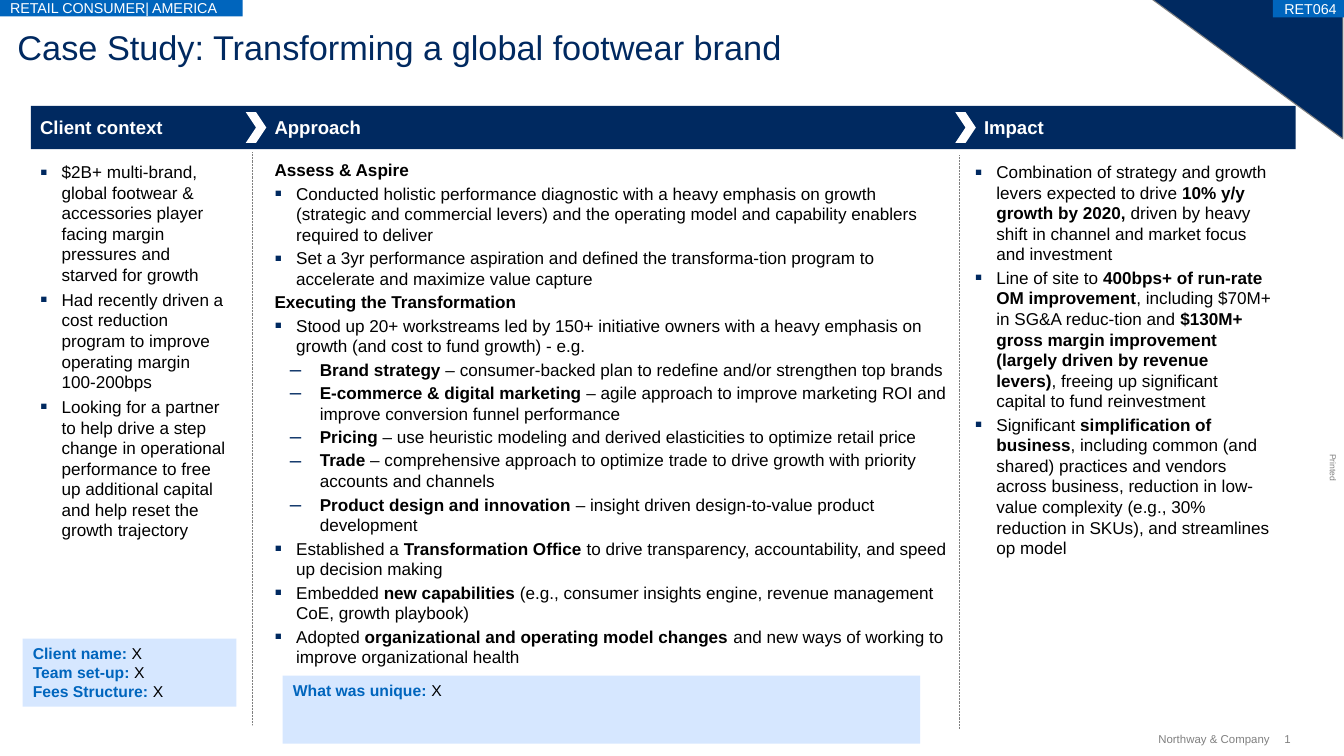
from dataclasses import dataclass
from typing import NamedTuple, Optional

from lxml.etree import SubElement
from pptx import Presentation
from pptx.dml.color import RGBColor
from pptx.enum.dml import MSO_LINE_DASH_STYLE as Dash
from pptx.enum.shapes import MSO_CONNECTOR as Connector, MSO_SHAPE as Preset
from pptx.enum.text import MSO_ANCHOR as Anchor, MSO_AUTO_SIZE as AutoSize, PP_ALIGN as Align
from pptx.oxml.ns import qn
from pptx.shapes.autoshape import Shape
from pptx.slide import Slide
from pptx.text.text import TextFrame, _Paragraph as Paragraph
from pptx.util import Inches, Pt


@dataclass(frozen=True)
class Theme:
    font: str = "Arial"
    navy: str = "002960"
    blue: str = "0065BD"
    pale: str = "D6E7FF"
    grey: str = "808080"
    black: str = "000000"
    white: str = "FFFFFF"
    title: float = 24
    heading: float = 13
    body: float = 12
    note: float = 11
    tag: float = 10
    footer: float = 8
    printed: float = 6


THEME = Theme()


class Box(NamedTuple):
    left: float
    top: float
    width: float
    height: float


class Bullet(NamedTuple):
    char: str
    size: int
    margin: float
    hang: float


SQUARE = Bullet("▪", 125, 0.21, 0.21)
DASH = Bullet("–", 120, 0.44, 0.29)


class Line(NamedTuple):
    """One paragraph; **double stars** enclose its bold parts."""
    text: str
    bullet: Optional[Bullet] = SQUARE


@dataclass(frozen=True)
class Column:
    heading: str
    heading_box: Box
    body_box: Box
    lines: list[Line]
    space_before: float = 2


class Separator(NamedTuple):
    chevron_left: float
    divider_left: float
    divider_top: float
    divider_bottom: float


COLUMNS = [
    Column("Client context", Box(0.39, 1.12, 1.9, 0.24), Box(0.39, 1.57, 1.87, 3.74), [
        Line("$2B+ multi-brand, global footwear & accessories player facing margin pressures and \nstarved for growth"),
        Line("Had recently driven a cost reduction program to improve operating margin \n100-200bps"),
        Line("Looking for a partner to help drive a step change in operational performance to free up "
             "additional capital and help reset the growth trajectory"),
    ], space_before=3),
    Column("Approach", Box(2.67, 1.12, 3.49, 0.24), Box(2.67, 1.55, 6.54, 5.35), [
        Line("**Assess & Aspire**", None),
        Line("Conducted holistic performance diagnostic with a heavy emphasis on growth (strategic and "
             "commercial levers) and the operating model and capability enablers required to deliver"),
        Line("Set a 3yr performance aspiration and defined the transforma-tion program to accelerate and "
             "maximize value capture"),
        Line("**Executing the Transformation**", None),
        Line("Stood up 20+ workstreams led by 150+ initiative owners with a heavy emphasis on growth "
             "(and cost to fund growth) - e.g."),
        Line("**Brand strategy **– consumer-backed plan to redefine and/or strengthen top brands", DASH),
        Line("**E-commerce & digital marketing **– agile approach to improve marketing ROI and improve "
             "conversion funnel performance", DASH),
        Line("**Pricing** – use heuristic modeling and derived elasticities to optimize retail price", DASH),
        Line("**Trade** – comprehensive approach to optimize trade to drive growth with priority accounts "
             "and channels", DASH),
        Line("**Product design and innovation** – insight driven design-to-value product development", DASH),
        Line("Established a **Transformation Office **to drive transparency, accountability, and speed up "
             "decision making"),
        Line("Embedded **new capabilities **(e.g., consumer insights engine, revenue management CoE, "
             "growth playbook)"),
        Line("Adopted **organizational and operating model changes **and new ways of working to improve "
             "organizational health"),
    ]),
    Column("Impact", Box(9.57, 1.12, 2.8, 0.24), Box(9.48, 1.57, 2.89, 3.89), [
        Line("Combination of strategy and growth levers expected to drive **10% y/y growth by 2020, **"
             "driven by heavy shift in channel and market focus and investment"),
        Line("Line of site to **400bps+ of run-rate OM improvement**, including $70M+ in SG&A reduc-tion "
             "and **$130M+ gross margin improvement (largely driven by revenue levers)**, freeing up "
             "significant capital to fund reinvestment"),
        Line("Significant **simplification of business**, including common (and shared) practices and "
             "vendors across business, reduction in low-value complexity (e.g., 30% reduction in SKUs), "
             "and streamlines op model"),
    ]),
]
SEPARATORS = [Separator(2.39, 2.45, 1.48, 7.05), Separator(9.29, 9.33, 1.51, 7.09)]
NOTES = [
    (Box(0.22, 6.21, 2.08, 0.66), ["**Client name: **X", "**Team set-up: **X", "**Fees Structure: **X"]),
    (Box(2.75, 6.57, 6.2, 0.66), ["**What was unique: **X"]),
]


def rgb(color: str) -> RGBColor:
    return RGBColor.from_string(color)


def add_bullet(paragraph: Paragraph, bullet: Bullet) -> None:
    props = paragraph._p.get_or_add_pPr()
    props.set("marL", str(Inches(bullet.margin)))
    props.set("indent", str(-Inches(bullet.hang)))
    SubElement(SubElement(props, qn("a:buClr")), qn("a:srgbClr"), val=THEME.navy)
    SubElement(props, qn("a:buSzPct"), val=str(bullet.size * 1000))
    SubElement(props, qn("a:buFont"), typeface=THEME.font)
    SubElement(props, qn("a:buChar"), char=bullet.char)


def write(frame: TextFrame, lines: list[Line], size: float, color: str, align: Align = Align.LEFT,
          space_before: float = 0, bold_color: Optional[str] = None) -> None:
    for index, line in enumerate(lines):
        paragraph = frame.add_paragraph() if index else frame.paragraphs[0]
        paragraph.alignment = align
        paragraph.space_before = Pt(space_before if index else 0)
        if line.bullet:
            add_bullet(paragraph, line.bullet)
        paragraph.font.name, paragraph.font.size = THEME.font, Pt(size)
        paragraph.font.color.rgb = rgb(color)
        for part_index, part in enumerate(line.text.split("**")):
            for row_index, row in enumerate(part.split("\n")):
                if row_index:
                    paragraph.add_line_break()
                if row:
                    run = paragraph.add_run()
                    run.text = row
                    run.font.bold = part_index % 2 == 1
                    if run.font.bold and bold_color:
                        run.font.color.rgb = rgb(bold_color)


def set_frame(frame: TextFrame, anchor: Anchor = Anchor.TOP, wrap: bool = True,
              side: float = 0, edge: float = 0) -> TextFrame:
    frame.word_wrap, frame.vertical_anchor, frame.auto_size = wrap, anchor, AutoSize.NONE
    frame.margin_left = frame.margin_right = Inches(side)
    frame.margin_top = frame.margin_bottom = Inches(edge)
    return frame


def add_text(slide: Slide, box: Box) -> Shape:
    return slide.shapes.add_textbox(*map(Inches, box))


def add_block(slide: Slide, preset: Preset, box: Box, fill: str) -> Shape:
    block = slide.shapes.add_shape(preset, *map(Inches, box))
    block.shadow.inherit = False
    block.fill.solid()
    block.fill.fore_color.rgb = rgb(fill)
    block.line.fill.background()
    return block


def add_footer(slide: Slide, box: Box, text: str, size: float, align: Align = Align.LEFT,
               rotation: float = 0) -> None:
    footer = add_text(slide, box)
    footer.rotation = rotation
    write(set_frame(footer.text_frame, Anchor.MIDDLE, wrap=False), [Line(text, None)], size, THEME.grey, align)


def add_tag(slide: Slide, box: Box, text: str, align: Align) -> None:
    tag = add_block(slide, Preset.RECTANGLE, box, THEME.blue)
    frame = set_frame(tag.text_frame, Anchor.MIDDLE, wrap=align == Align.LEFT, side=0.1)
    write(frame, [Line(text, None)], THEME.tag, THEME.white, align)


def add_column(slide: Slide, column: Column) -> None:
    heading = set_frame(add_text(slide, column.heading_box).text_frame, Anchor.BOTTOM)
    heading.margin_bottom = Inches(0.02)
    write(heading, [Line(f"**{column.heading}**", None)], THEME.heading, THEME.white)
    body = set_frame(add_text(slide, column.body_box).text_frame)
    write(body, column.lines, THEME.body, THEME.black, space_before=column.space_before)


def add_separator(slide: Slide, separator: Separator) -> None:
    add_block(slide, Preset.CHEVRON, Box(separator.chevron_left, 1.09, 0.2, 0.3), THEME.white)
    left = Inches(separator.divider_left)
    divider = slide.shapes.add_connector(Connector.STRAIGHT, left, Inches(separator.divider_top),
                                         left, Inches(separator.divider_bottom))
    SubElement(divider._element.spPr, qn("a:effectLst"))
    divider.line.color.rgb, divider.line.width = rgb(THEME.grey), Pt(0.5)
    divider.line.dash_style = Dash.ROUND_DOT


def main() -> None:
    deck = Presentation()
    deck.slide_width, deck.slide_height = Inches(13.07), Inches(7.35)
    slide = deck.slides.add_slide(deck.slide_layouts[5])

    title = slide.shapes.title
    title.left, title.top, title.width, title.height = map(Inches, Box(0.17, 0.25, 12.57, 0.4))
    write(set_frame(title.text_frame), [Line("Case Study: Transforming a global footwear brand", None)],
          THEME.title, THEME.navy)

    add_footer(slide, Box(12.83, 4.5, 0.27, 0.1), "Printed", THEME.printed, rotation=90)
    add_footer(slide, Box(12.49, 7.12, 0.14, 0.13), "1", THEME.footer)
    add_footer(slide, Box(11.24, 7.12, 1.11, 0.13), "Northway & Company", THEME.footer, Align.RIGHT)

    corner = add_block(slide, Preset.ISOSCELES_TRIANGLE, Box(11.2, -0.01, 1.86, 1.36), THEME.navy)
    corner.adjustments[0], corner.rotation = 0, 180
    corner.line.color.rgb, corner.line.width = rgb(THEME.grey), Pt(0.75)
    add_tag(slide, Box(12.38, 0, 0.73, 0.17), "RET064", Align.CENTER)
    add_tag(slide, Box(0, 0, 2.36, 0.16), "RETAIL CONSUMER| AMERICA", Align.LEFT)

    add_block(slide, Preset.RECTANGLE, Box(0.3, 1.03, 12.3, 0.42), THEME.navy)
    for column in COLUMNS:
        add_column(slide, column)
    for separator in SEPARATORS:
        add_separator(slide, separator)
    for box, texts in NOTES:
        note = add_block(slide, Preset.RECTANGLE, box, THEME.pale)
        write(set_frame(note.text_frame, side=0.1, edge=0.05), [Line(text, None) for text in texts],
              THEME.note, THEME.black, bold_color=THEME.blue)

    deck.save("out.pptx")


if __name__ == "__main__":
    main()
